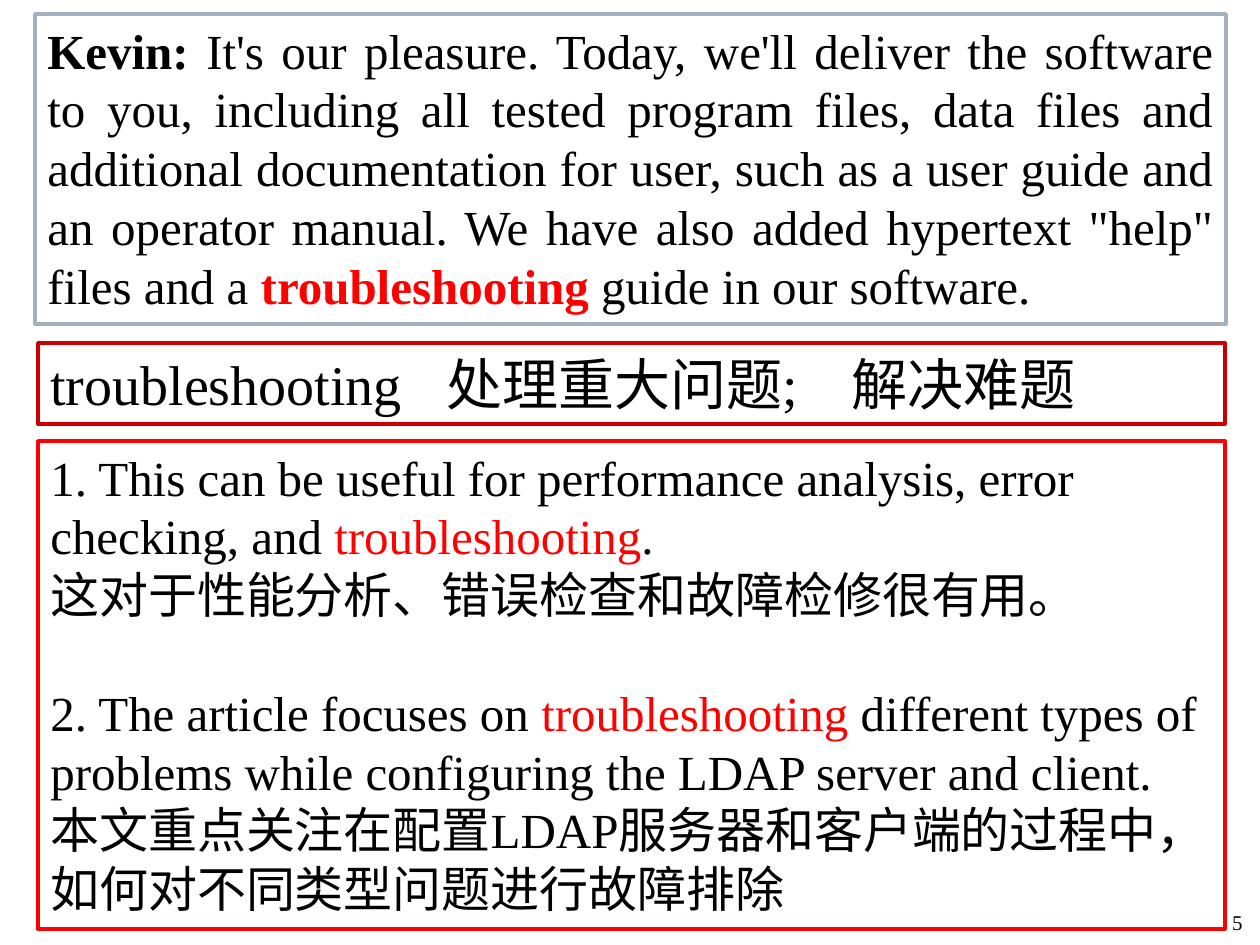
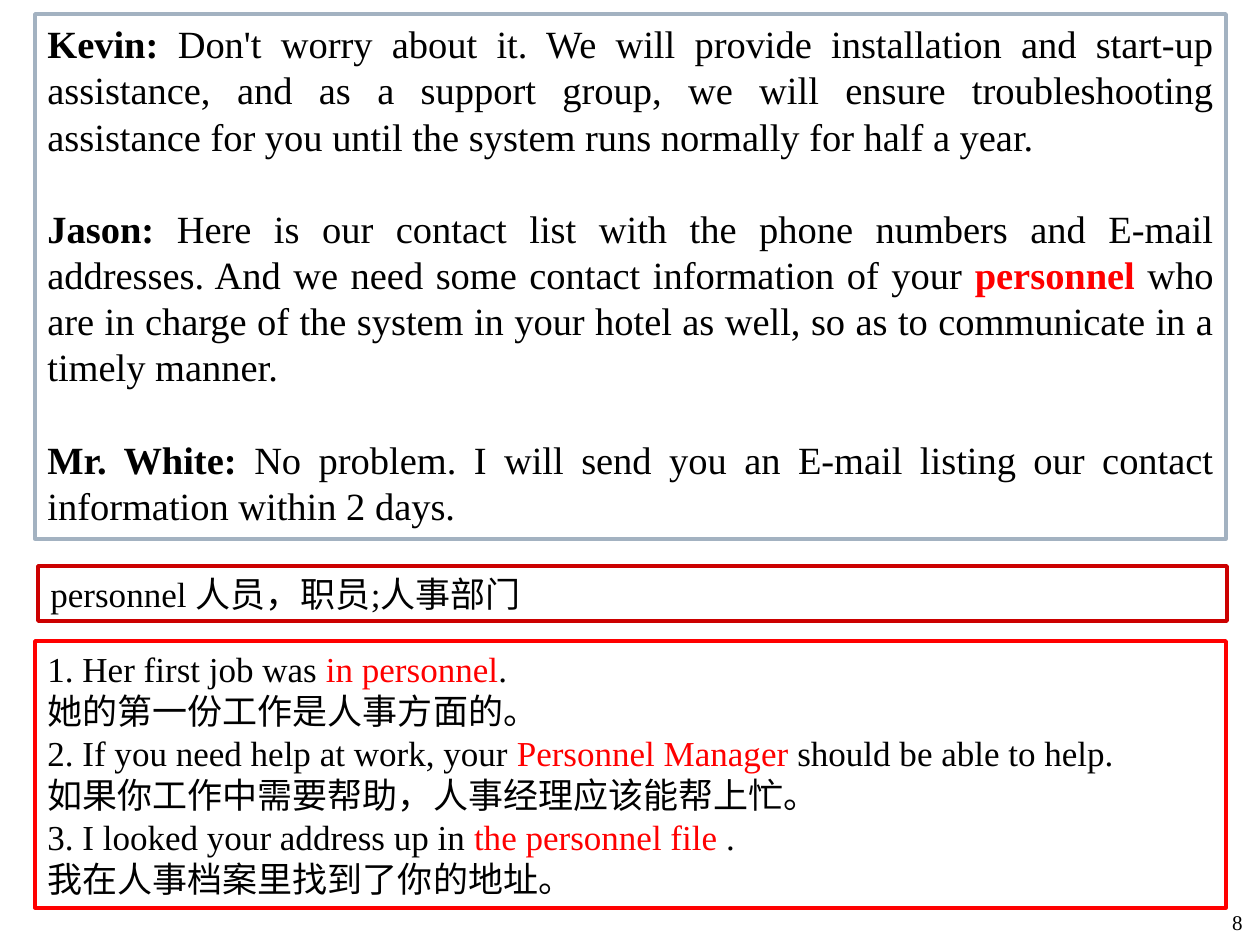
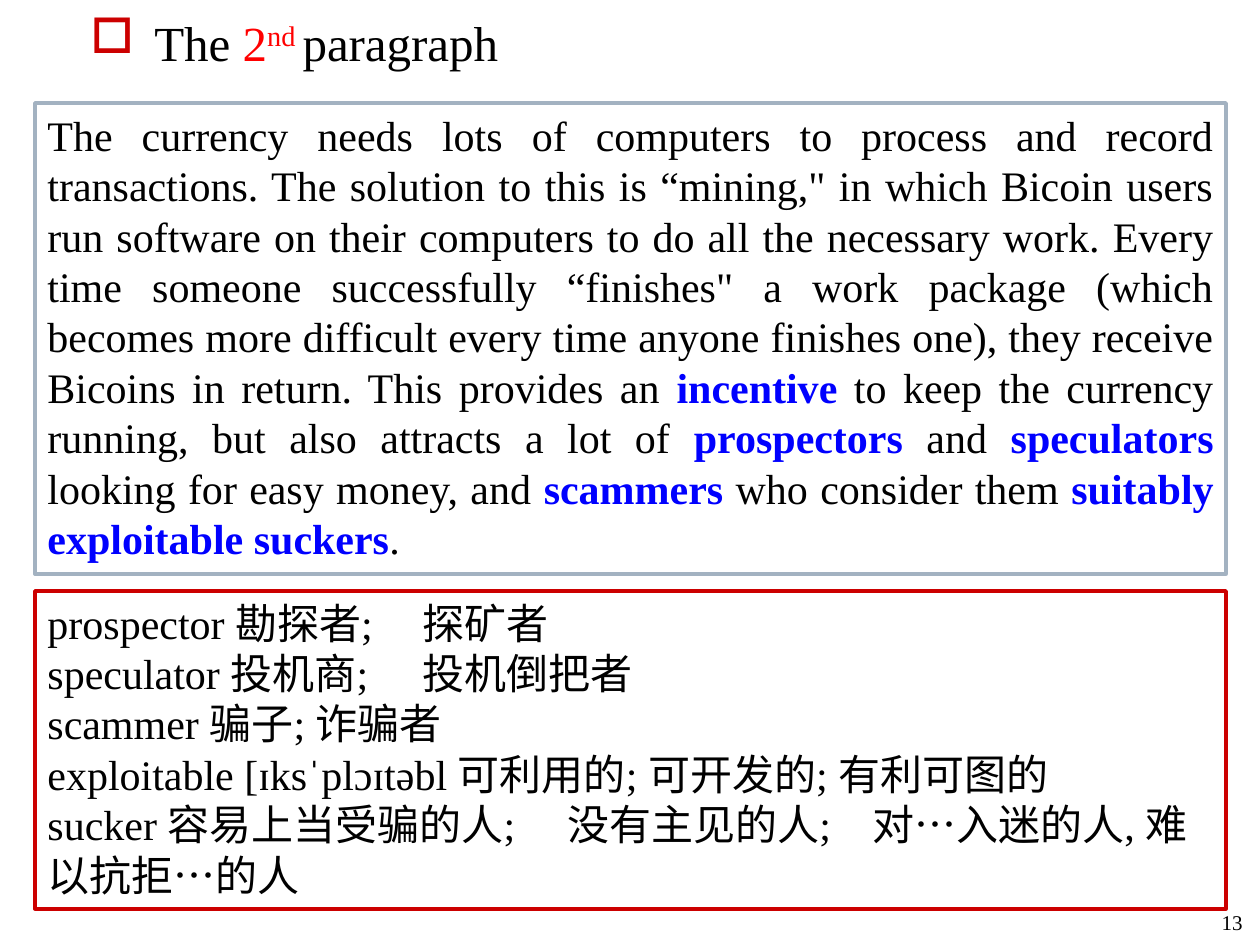
from lxml.etree import SubElement
from pptx import Presentation
from pptx.dml.color import RGBColor
from pptx.enum.shapes import MSO_SHAPE
from pptx.enum.text import MSO_ANCHOR, PP_ALIGN
from pptx.oxml.ns import qn
from pptx.util import Emu, Pt

FONT = "Times New Roman"
BLACK, WHITE, RED, BLUE = "000000", "FFFFFF", "FF0000", "0000FF"
STEEL, CRIMSON = "A3B2C1", "CC0000"
SCALE = 914400 / 126
LEADING = 1.2

STYLES = {
    "plain": dict(),
    "name": dict(bold=True),
    "red": dict(color=RED),
    "term": dict(color=RED, bold=True),
    "blue": dict(color=BLUE, bold=True),
    "raised": dict(color=RED, base=30000),
}

SLIDES = [
    dict(number="5", boxes=[
        dict(at=(35, 14, 1191, 310), edge=STEEL, size=28, align=PP_ALIGN.JUSTIFY, text=[
            [("Kevin: ", "name"),
             "It's our pleasure. Today, we'll deliver the software to you, including all tested "
             "program files, data files and additional documentation for user, such as a user guide "
             "and an operator manual. We have also added hypertext \"help\" files and a ",
             ("troubleshooting", "term"), " guide in our software."],
        ]),
        dict(at=(38, 343, 1187, 81), edge=CRIMSON, size=32, tabs=(396, 801), text=[
            ["troubleshooting\t处理重大问题;\t解决难题"],
        ]),
        dict(at=(38, 441, 1187, 488), edge=RED, size=28, gaps=(2,), text=[
            ["1. This can be useful for performance analysis, error checking, and ",
             ("troubleshooting", "red"), "."],
            ["这对于性能分析、错误检查和故障检修很有用。"],
            ["2. The article focuses on ", ("troubleshooting", "red"),
             " different types of problems while configuring the LDAP server and client."],
            ["本文重点关注在配置LDAP服务器和客户端的过程中，如何对不同类型问题进行故障排除"],
        ]),
    ]),
    dict(number="8", boxes=[
        dict(at=(35, 14, 1191, 525), edge=STEEL, size=22, align=PP_ALIGN.JUSTIFY, gaps=(1, 2), text=[
            [("Kevin: ", "name"),
             "Don't worry about it. We will provide installation and start-up assistance, and as a "
             "support group, we will ensure troubleshooting assistance for you until the system runs "
             "normally for half a year."],
            [("Jason: ", "name"),
             "Here is our contact list with the phone numbers and E-mail addresses. And we need some "
             "contact information of your ", ("personnel", "term"),
             " who are in charge of the system in your hotel as well, so as to communicate in a "
             "timely manner."],
            [("Mr. White: ", "name"),
             "No problem. I will send you an E-mail listing our contact information within 2 days."],
        ]),
        dict(at=(38, 566, 1189, 55), edge=CRIMSON, size=20, text=[
            ["personnel 人员，职员;人事部门"],
        ]),
        dict(at=(35, 641, 1191, 267), edge=RED, size=20, text=[
            ["1. Her first job was ", ("in personnel", "red"), "."],
            ["她的第一份工作是人事方面的。"],
            ["2. If you need help at work, your ", ("Personnel Manager", "red"),
             " should be able to help."],
            ["如果你工作中需要帮助，人事经理应该能帮上忙。"],
            ["3. I looked your address up in ", ("the personnel file ", "red"), "."],
            ["我在人事档案里找到了你的地址。"],
        ]),
    ]),
    dict(number="13", title=["The ", ("2", "red"), ("nd ", "raised"), "paragraph"], boxes=[
        dict(at=(35, 103, 1191, 471), edge=STEEL, size=24, align=PP_ALIGN.JUSTIFY, text=[
            ["The currency needs lots of computers to process and record transactions. The solution "
             "to this is “mining,\" in which Bicoin users run software on their computers to do all "
             "the necessary work. Every time someone successfully “finishes\" a work package (which "
             "becomes more difficult every time anyone finishes one), they receive Bicoins in "
             "return. This provides an ", ("incentive", "blue"),
             " to keep the currency running, but also attracts a lot of ", ("prospectors", "blue"),
             " and ", ("speculators", "blue"), " looking for easy money, and ",
             ("scammers", "blue"), " who consider them ",
             ("suitably exploitable suckers", "blue"), "."],
        ]),
        dict(at=(35, 591, 1191, 318), edge=CRIMSON, size=24, tabs=(375, 520, 825), text=[
            ["prospector 勘探者;\t探矿者"],
            ["speculator 投机商;\t投机倒把者"],
            ["scammer 骗子; 诈骗者"],
            ["exploitable [ɪksˈplɔɪtəbl 可利用的; 可开发的; 有利可图的"],
            ["sucker 容易上当受骗的人;\t没有主见的人;\t对…入迷的人, 难以抗拒…的人"],
        ]),
    ]),
]


def px(n):
    return Emu(round(n * SCALE))


def paint(target, color):
    target.rgb = RGBColor.from_string(color)


def add_run(para, text, size, color=BLACK, bold=False, base=0):
    run = para.add_run()
    run.text = text
    font = run.font
    font.name, font.size, font.bold = FONT, Pt(size), bold
    paint(font.color, color)
    if base:
        run._r.get_or_add_rPr().set("baseline", str(base))


def add_tabs(para, stops):
    tabs = SubElement(para._p.get_or_add_pPr(), qn("a:tabLst"))
    for stop in stops:
        SubElement(tabs, qn("a:tab"), pos=str(px(stop)), algn="l")


def add_mark(para, mark, color, indent):
    props = para._p.get_or_add_pPr()
    props.set("marL", str(px(indent)))
    props.set("indent", str(-px(indent)))
    tint = SubElement(props, qn("a:buClr"))
    SubElement(tint, qn("a:srgbClr"), val=color)
    SubElement(props, qn("a:buChar"), char=mark)


def write(shape, text, size, align=PP_ALIGN.LEFT, anchor=MSO_ANCHOR.TOP, gaps=(), tabs=(), mark=None):
    frame = shape.text_frame
    frame.word_wrap = True
    frame.vertical_anchor = anchor
    for i, runs in enumerate(text):
        para = frame.add_paragraph() if i else frame.paragraphs[0]
        if mark:
            add_mark(para, mark, CRIMSON, 64)
        if tabs:
            add_tabs(para, tabs)
        para.alignment = align
        para.line_spacing = Pt(size * LEADING)
        if i in gaps:
            para.space_before = Pt(size * LEADING)
        for item in runs:
            words, style = (item, "plain") if isinstance(item, str) else item
            add_run(para, words, size, **STYLES[style])


def add_label(slide, at, text, size, **form):
    write(slide.shapes.add_textbox(*map(px, at)), text, size, **form)


def add_box(slide, at, edge, text, size, **form):
    box = slide.shapes.add_shape(MSO_SHAPE.RECTANGLE, *map(px, at))
    box.shadow.inherit = False
    box.fill.solid()
    paint(box.fill.fore_color, WHITE)
    paint(box.line.color, edge)
    box.line.width = Pt(2)
    write(box, text, size, **form)


def main():
    deck = Presentation()
    deck.slide_width, deck.slide_height = px(1260), px(945)
    for page in SLIDES:
        slide = deck.slides.add_slide(deck.slide_layouts[6])
        if "title" in page:
            add_label(slide, (78, 6, 1102, 684), [page["title"]], 28, mark="□")
        add_label(slide, (1181, 869, 74, 72), [[page["number"]]], 12,
                  align=PP_ALIGN.RIGHT, anchor=MSO_ANCHOR.BOTTOM)
        for box in page["boxes"]:
            add_box(slide, **box)
    deck.save("out.pptx")


if __name__ == "__main__":
    main()
